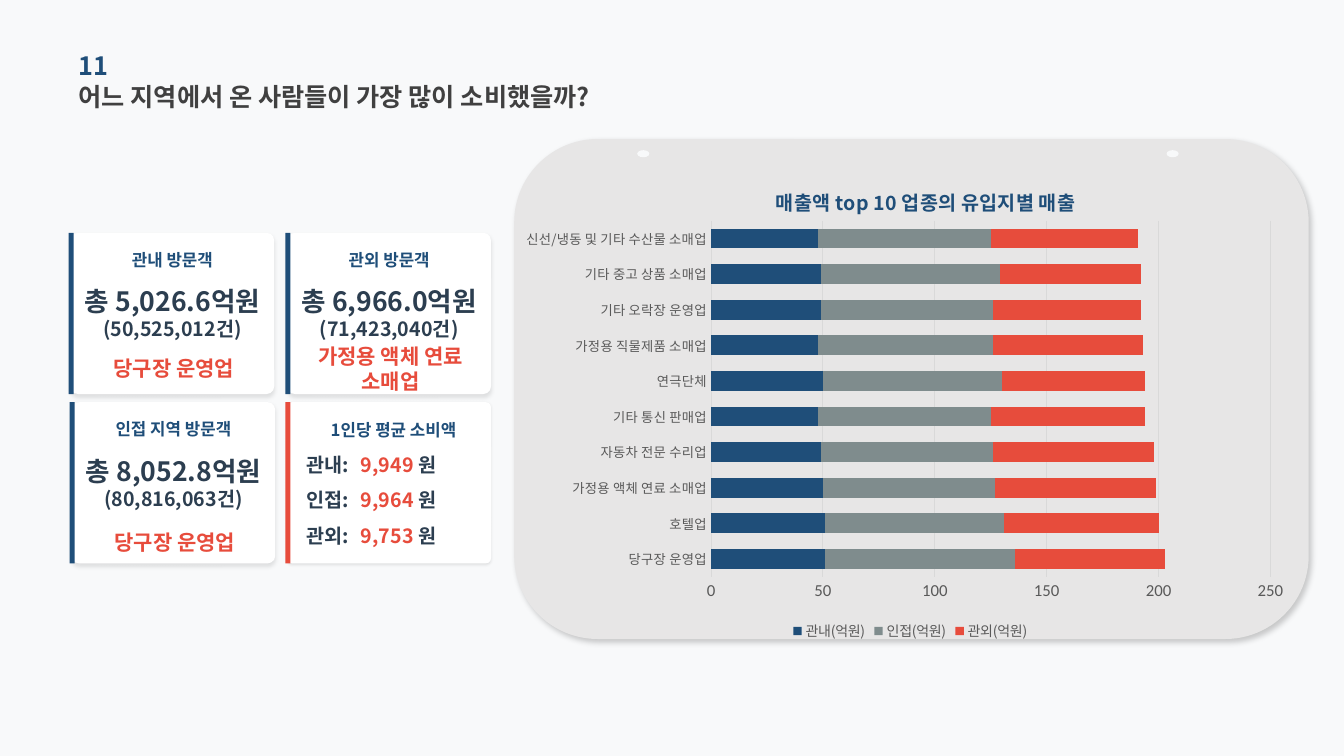
from lxml import etree
from pptx import Presentation
from pptx.chart.data import CategoryChartData
from pptx.dml.color import RGBColor
from pptx.enum.chart import XL_CHART_TYPE, XL_LEGEND_POSITION, XL_TICK_MARK
from pptx.enum.shapes import MSO_SHAPE
from pptx.enum.text import MSO_ANCHOR, PP_ALIGN
from pptx.oxml import parse_xml
from pptx.oxml.ns import nsdecls, qn
from pptx.util import Inches, Pt

RECT, ROUND, OVAL = MSO_SHAPE.RECTANGLE, MSO_SHAPE.ROUNDED_RECTANGLE, MSO_SHAPE.OVAL
LEFT, CENTER, MIDDLE = PP_ALIGN.LEFT, PP_ALIGN.CENTER, MSO_ANCHOR.MIDDLE
STACKED, BOTTOM, NO_TICK = XL_CHART_TYPE.BAR_STACKED, XL_LEGEND_POSITION.BOTTOM, XL_TICK_MARK.NONE
FONT = "Noto Sans CJK KR"
NAVY, RED, DARK, GRAY = "1F4E79", "E74C3C", "2C3E50", "7F8C8D"
PAPER, PANEL, WHITE, LABEL, RULE = "F8F9FA", "E7E6E6", "FFFFFF", "595959", "D9D9D9"

NUMBER = "11"
HEADLINE = "어느 지역에서 온 사람들이 가장 많이 소비했을까?"
VISITORS = [
    (0.7, 2.31, "관내 방문객", "총 5,026.6억원", "(50,525,012건)", "당구장 운영업", 1.11),
    (2.85, 2.31, "관외 방문객", "총 6,966.0억원", "(71,423,040건)", "가정용 액체 연료 소매업", 1.11),
    (0.71, 3.99, "인접 지역 방문객", "총 8,052.8억원", "(80,816,063건)", "당구장 운영업", 1.15),
]
AVERAGE_TITLE = "1인당 평균 소비액"
AVERAGES = [("관내:", "9,949 "), ("인접:", "9,964 "), ("관외:", "9,753 ")]
CHART_TITLE = "매출액 top 10 업종의 유입지별 매출"
SECTORS = ["당구장 운영업", "호텔업", "가정용 액체 연료 소매업", "자동차 전문 수리업",
           "기타 통신 판매업", "연극단체", "가정용 직물제품 소매업", "기타 오락장 운영업",
           "기타 중고 상품 소매업", "신선/냉동 및 기타 수산물 소매업"]
SERIES = [
    ("관내(억원)", NAVY, [51, 51, 50, 49, 48, 50, 48, 49, 49, 48]),
    ("인접(억원)", GRAY, [85, 80, 77, 77, 77, 80, 78, 77, 80, 77]),
    ("관외(억원)", RED, [67, 69, 72, 72, 69, 64, 67, 66, 63, 66]),
]

deck = Presentation()
deck.slide_width, deck.slide_height = Inches(13.33), Inches(7.5)
page = deck.slides.add_slide(deck.slide_layouts[6])


def color(value):
    return RGBColor.from_string(value)


def frame(*lengths):
    return [Inches(length) for length in lengths]


def style(font, size, ink, name=FONT, bold=False):
    font.size, font.name, font.bold = Pt(size), name, bold
    font.color.rgb = color(ink)


def add_text(place, lines, align=LEFT):
    box = page.shapes.add_textbox(*frame(*place)).text_frame
    box.word_wrap, box.vertical_anchor = True, MIDDLE
    box.margin_left = box.margin_right = box.margin_top = box.margin_bottom = 0
    para = box.paragraphs[0]
    para.alignment = align
    for index, line in enumerate(lines):
        if index:
            para.add_line_break()
        for text, size, ink in line:
            span = para.add_run()
            span.text = text
            style(span.font, size, ink, bold=True)
            etree.SubElement(span._r.get_or_add_rPr(), qn("a:ea"), typeface=FONT)


def add_block(kind, place, fill, radius=None, shadow=None):
    block = page.shapes.add_shape(kind, *frame(*place))
    block.shadow.inherit = False
    block.fill.solid()
    block.fill.fore_color.rgb = color(fill)
    block.line.fill.background()
    if radius is not None:
        block.adjustments[0] = radius
    if shadow:
        alpha, blur, distance, angle = shadow
        effects = block._element.spPr.find(qn("a:effectLst"))
        effects.append(parse_xml(
            f'<a:outerShdw {nsdecls("a")} blurRad="{Pt(blur)}" dist="{Pt(distance)}" '
            f'dir="{angle * 60000}" algn="ctr" rotWithShape="0"><a:srgbClr val="000000">'
            f'<a:alpha val="{alpha * 1000}"/></a:srgbClr></a:outerShdw>'))


def add_card(left, top, accent, radius, shadow):
    add_block(ROUND, (left, top, 2.02, 1.6), WHITE, radius, shadow)
    add_block(RECT, (left - 0.02, top, 0.05, 1.6), accent)


def layout_xml(target="", **place):
    modes = "".join(f'<c:{axis}Mode val="edge"/>' for axis in "xy")
    sizes = "".join(f'<c:{key} val="{value}"/>' for key, value in place.items())
    return parse_xml(f'<c:layout {nsdecls("c")}><c:manualLayout>{target}{modes}{sizes}'
                     '</c:manualLayout></c:layout>')


def set_layout(parent, layout, position):
    for existing in parent.findall(qn("c:layout")):
        parent.remove(existing)
    parent.insert(position, layout)


def add_sales_chart():
    data = CategoryChartData()
    data.categories = SECTORS
    for name, _, values in SERIES:
        data.add_series(name, values)
    chart = page.shapes.add_chart(STACKED, *frame(5.22, 1.56, 7.61, 4.84), data).chart
    style(chart.font, 10, "000000", "Calibri")
    plot = chart.plots[0]
    plot.gap_width, plot.overlap, plot.vary_by_categories = 80, 100, False
    for series, (_, fill, _) in zip(plot.series, SERIES):
        series.format.fill.solid()
        series.format.fill.fore_color.rgb = color(fill)

    chart.has_title = True
    title = chart.chart_title
    span = title.text_frame.paragraphs[0].add_run()
    span.text = CHART_TITLE
    style(span.font, 14, NAVY, bold=True)
    title.include_in_layout = False

    chart.has_legend = True
    chart.legend.position, chart.legend.include_in_layout = BOTTOM, False
    style(chart.legend.font, 10, LABEL)

    sectors, amounts = chart.category_axis, chart.value_axis
    style(sectors.tick_labels.font, 9.5, LABEL)
    style(amounts.tick_labels.font, 12, LABEL, "Calibri")
    for axis in (sectors, amounts):
        axis.major_tick_mark = axis.minor_tick_mark = NO_TICK
    amounts.minimum_scale, amounts.maximum_scale, amounts.major_unit = 0, 250, 50
    amounts.format.line.fill.background()
    amounts.has_major_gridlines = True
    for line in (sectors.format.line, amounts.major_gridlines.format.line):
        line.color.rgb, line.width = color(RULE), Pt(0.75)

    space = chart._chartSpace
    set_layout(next(space.iter(qn("c:title"))), layout_xml(x=0.32, y=0.05), 1)
    inner = '<c:layoutTarget val="inner"/>'
    set_layout(next(space.iter(qn("c:plotArea"))),
               layout_xml(inner, x=0.24, y=0.13, w=0.73, h=0.73), 0)
    for latin in list(space.iter(qn("a:latin"))):
        if latin.get("typeface") == FONT:
            latin.addnext(parse_xml(f'<a:ea {nsdecls("a")} typeface="{FONT}"/>'))


page.background.fill.solid()
page.background.fill.fore_color.rgb = color(PAPER)
add_block(ROUND, (5.1, 1.38, 7.88, 4.96), PANEL, shadow=(20, 4, 3, 45))
for left in (6.32, 11.57):
    add_block(OVAL, (left, 1.49, 0.12, 0.07), PAPER)
add_text((0.78, 0.44, 4.52, 0.41), [[(NUMBER, 18, NAVY)]])
add_text((0.78, 0.75, 5.35, 0.41), [[(HEADLINE, 18, "404040")]])

for left, top, heading, total, count, sector, drop in VISITORS:
    add_card(left, top, NAVY, 0.048, (10, 3, 2, 90))
    add_text((left, top + 0.11, 2.02, 0.31), [[(heading, 12, NAVY)]], CENTER)
    add_text((left, top + 0.56, 2.02, 0.47), [[(total, 19, DARK)], [(count, 14, DARK)]], CENTER)
    add_text((left + 0.03, top + drop, 1.99, 0.47), [[(sector, 15, RED)]], CENTER)

add_card(2.85, 3.99, RED, 0.032, (10, 2, 1, 90))
add_text((3.28, 4.14, 1.4, 0.25), [[(AVERAGE_TITLE, 12, NAVY)]])
for row, (region, amount) in enumerate(AVERAGES):
    top = 4.46 + 0.35 * row
    add_text((3.04, top, 0.59, 0.3), [[(region, 14, DARK)]])
    add_text((3.58, top, 4.45, 0.3), [[(amount, 14, RED), ("원", 14, DARK)]])

add_sales_chart()
deck.save("out.pptx")
